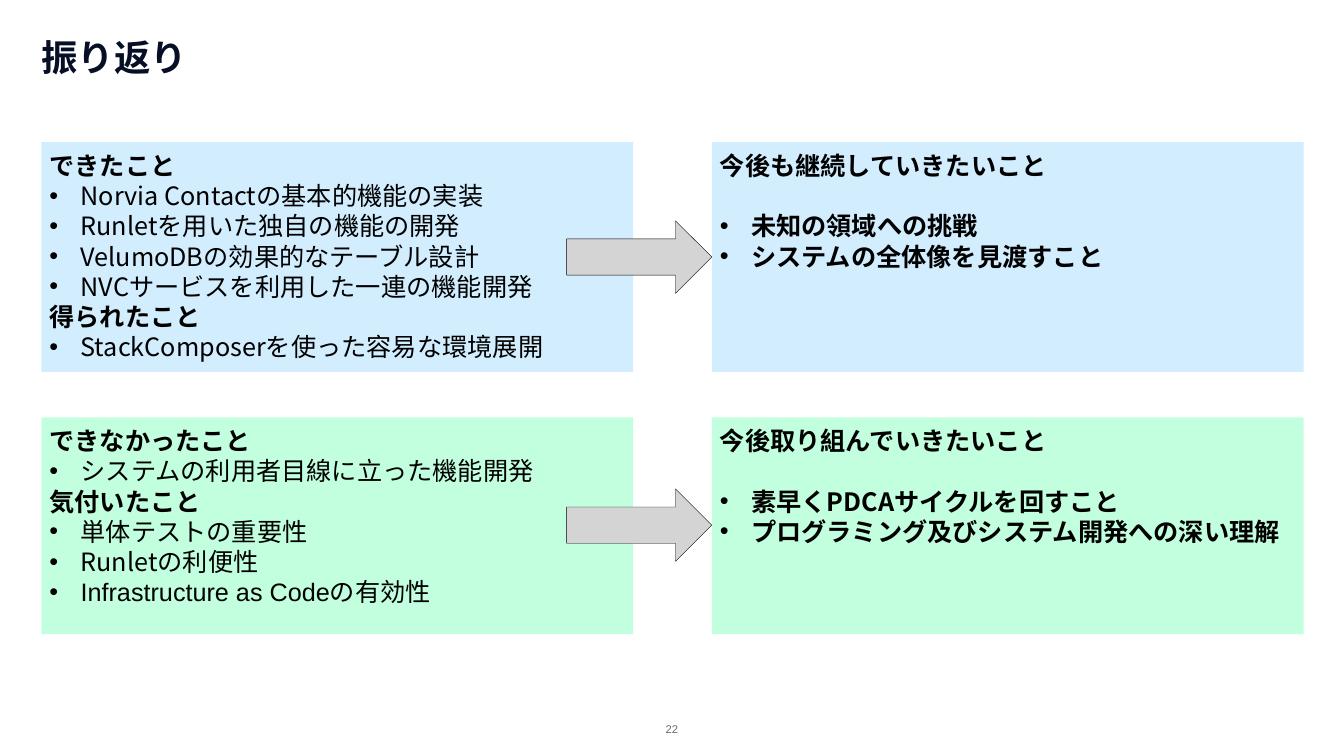
from dataclasses import dataclass

from lxml import etree
from pptx import Presentation
from pptx import util as u
from pptx.dml.color import RGBColor
from pptx.enum import shapes, text
from pptx.oxml import ns


@dataclass(frozen=True)
class Theme:
    blue: str = "D1EDFE"
    green: str = "C2FFDE"
    arrow: str = "D4D4D4"
    black: str = "000000"
    navy: str = "070F26"
    gray: str = "6B6B6B"
    font: str = "Noto Sans CJK JP"
    latin: str = "Arial"
    title: float = 26
    body: float = 18
    small: float = 8
    pitch: float = 21.6


T = Theme()
HEAD, ITEM = "head", "item"

# Each row: top, height, arrow top, colour, left lines, right lines
ROWS = [
    (1.41, 2.28, 2.19, T.blue,
     [(HEAD, "できたこと"),
      (ITEM, "Norvia Contactの基本的機能の実装"),
      (ITEM, "Runletを用いた独自の機能の開発"),
      (ITEM, "VelumoDBの効果的なテーブル設計"),
      (ITEM, "NVCサービスを利用した一連の機能開発"),
      (HEAD, "得られたこと"),
      (ITEM, "StackComposerを使った容易な環境展開")],
     [(HEAD, "今後も継続していきたいこと"),
      (ITEM, "未知の領域への挑戦"),
      (ITEM, "システムの全体像を見渡すこと")]),
    (4.14, 2.15, 4.85, T.green,
     [(HEAD, "できなかったこと"),
      (ITEM, "システムの利用者目線に立った機能開発"),
      (HEAD, "気付いたこと"),
      (ITEM, "単体テストの重要性"),
      (ITEM, "Runletの利便性"),
      (ITEM, "Infrastructure as Codeの有効性")],
     [(HEAD, "今後取り組んでいきたいこと"),
      (ITEM, "素早くPDCAサイクルを回すこと"),
      (ITEM, "プログラミング及びシステム開発への深い理解")]),
]


def paint(fmt, color):
    fmt.solid()
    fmt.fore_color.rgb = RGBColor.from_string(color)


def place(shape, left, top, width, height):
    shape.left, shape.top = u.Inches(left), u.Inches(top)
    shape.width, shape.height = u.Inches(width), u.Inches(height)


def frame(shape, anchor, pads=(0, 0, 0, 0)):
    tf = shape.text_frame
    tf.word_wrap = True
    tf.auto_size = text.MSO_AUTO_SIZE.NONE
    tf.vertical_anchor = anchor
    tf.margin_left, tf.margin_top, tf.margin_right, tf.margin_bottom = map(u.Inches, pads)
    return tf


def write(para, words, size=T.body, color=T.black, bold=False, font=T.font,
          align=text.PP_ALIGN.LEFT, pitch=None, after=0, bullet=None):
    para.alignment = align
    para.space_before, para.space_after = u.Pt(0), u.Pt(after)
    if pitch:
        para.line_spacing = u.Pt(pitch)
    run = para.add_run()
    run.text = words
    run.font.size, run.font.bold, run.font.name = u.Pt(size), bold, font
    run.font.color.rgb = RGBColor.from_string(color)
    etree.SubElement(run.font._element, ns.qn("a:ea"), typeface=T.font)
    # Bullet and hanging indent
    props = para._p.get_or_add_pPr()
    hang = u.Inches(0.31) if bullet else 0
    props.set("marL", str(hang))
    props.set("indent", str(-hang))
    if bullet:
        etree.SubElement(props, ns.qn("a:buFont"), typeface=T.latin)
        etree.SubElement(props, ns.qn("a:buChar"), char=bullet)
    else:
        etree.SubElement(props, ns.qn("a:buNone"))


def head(slide, box):
    title = slide.shapes.title
    place(title, *box)
    tf = frame(title, text.MSO_ANCHOR.MIDDLE)
    write(tf.paragraphs[0], "振り返り", size=T.title, color=T.navy, bold=True)


def panel(shape, box, color, lines, strong=False):
    place(shape, *box)
    paint(shape.fill, color)
    tf = frame(shape, text.MSO_ANCHOR.TOP, (0.08, 0.08, 0, 0.08))
    for i, (kind, words) in enumerate(lines):
        para = tf.paragraphs[0] if i == 0 else tf.add_paragraph()
        top = kind == HEAD
        write(para, words, bold=top or strong, pitch=T.pitch,
              font=T.latin if words.startswith("Infra") else T.font,
              after=T.pitch if top and strong else 0,
              bullet=None if top else "•")


def arrow(slide, box):
    shape = slide.shapes.add_shape(shapes.MSO_SHAPE.RIGHT_ARROW, *map(u.Inches, box))
    shape.shadow.inherit = False
    paint(shape.fill, T.arrow)
    paint(shape.line.fill, T.black)
    shape.line.width = u.Pt(0.25)


def number(slide, box):
    shape = slide.shapes.add_textbox(*map(u.Inches, box))
    tf = frame(shape, text.MSO_ANCHOR.MIDDLE)
    write(tf.paragraphs[0], "22", size=T.small, color=T.gray, font=T.latin,
          align=text.PP_ALIGN.CENTER)


def main():
    prs = Presentation()
    prs.slide_width, prs.slide_height = u.Inches(13.33), u.Inches(7.5)
    slide = prs.slides.add_slide(prs.slide_layouts[4])
    left, width, right = 0.41, 5.87, 7.06

    # Title
    head(slide, (left, 0.35, 12.52, 0.43))

    # Two rows: review, arrow, next step
    bodies = list(slide.placeholders)[1:]
    for i, (top, height, mid, color, past, plan) in enumerate(ROWS):
        panel(bodies[2 * i], (left, top, width, height), color, past)
        panel(bodies[2 * i + 1], (right, top, width, height), color, plan, strong=True)
        arrow(slide, (right - 1.44, mid, 1.44, 0.72))

    # Page number
    number(slide, (6.5, 7.18, 0.33, 0.1))
    prs.save("out.pptx")


if __name__ == "__main__":
    main()
